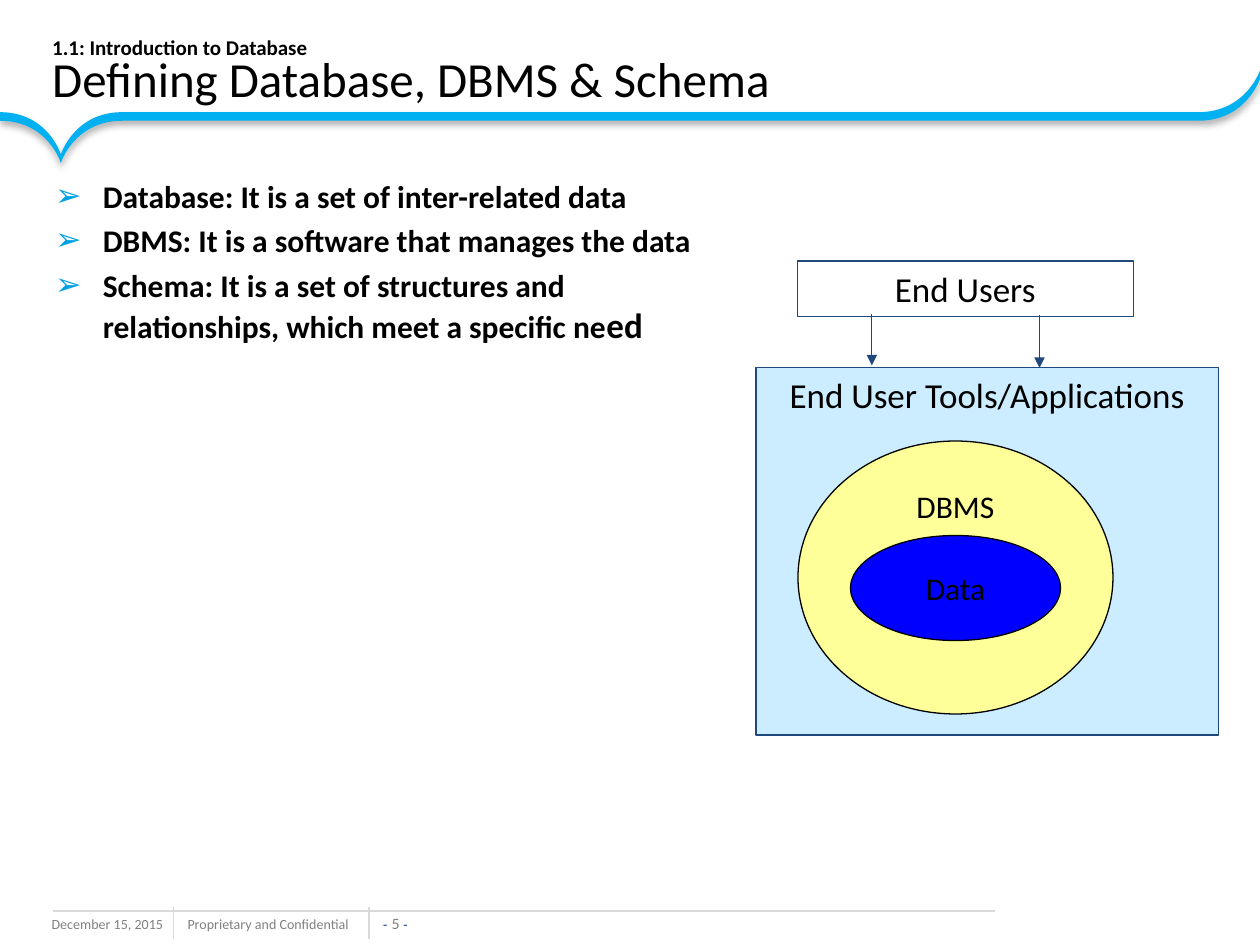
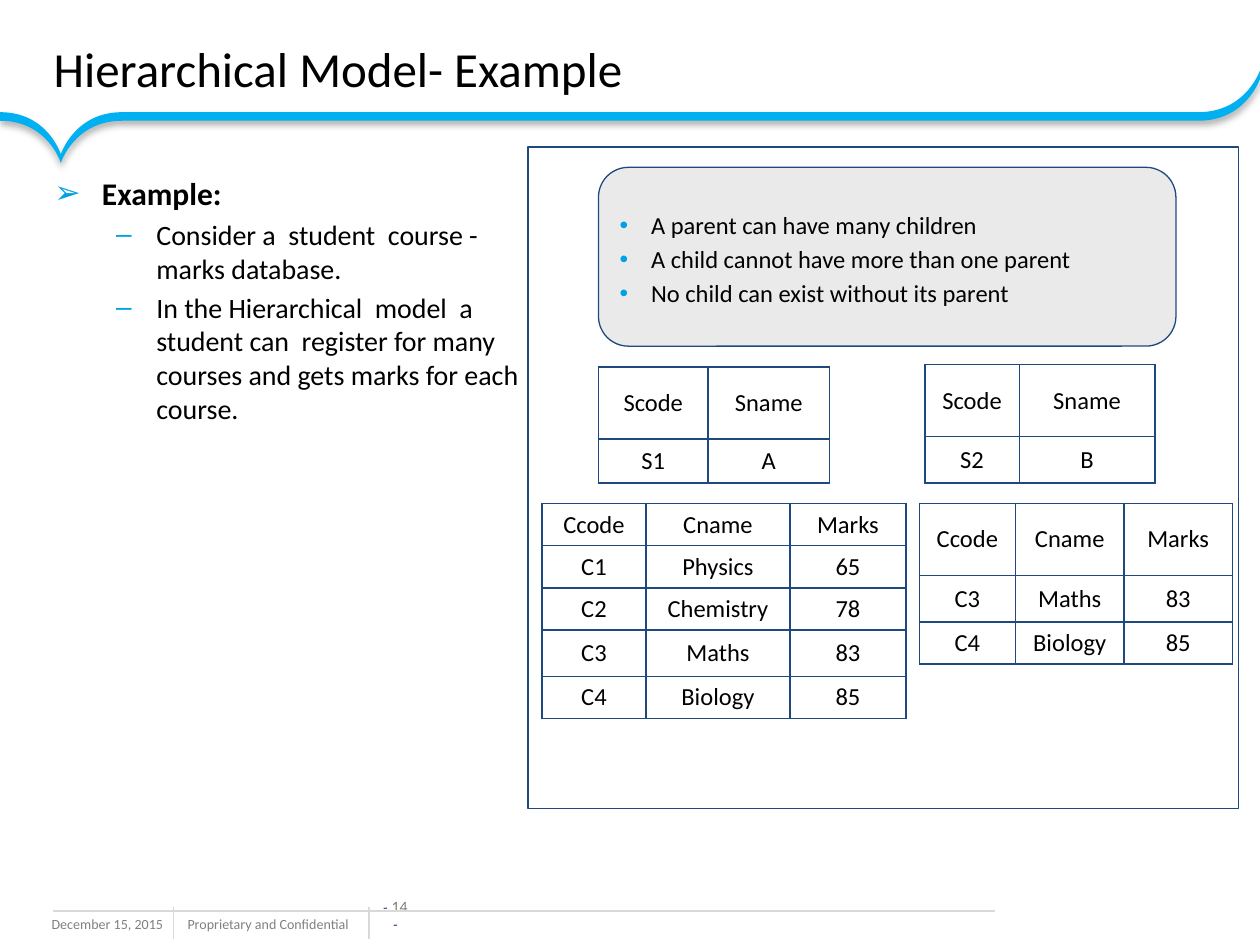
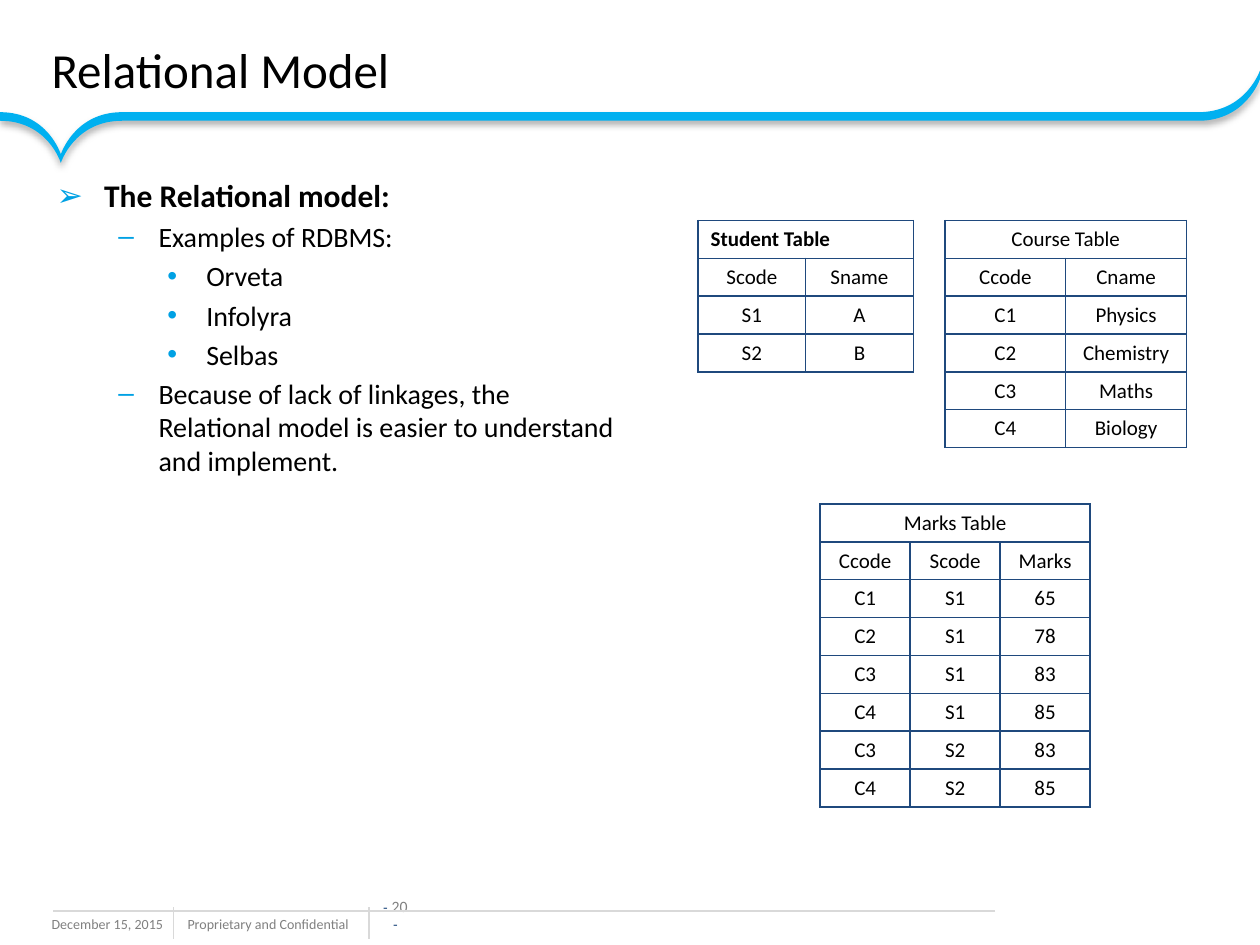
from pptx import Presentation
from pptx.dml.color import RGBColor
from pptx.enum.shapes import MSO_CONNECTOR, MSO_SHAPE
from pptx.enum.text import MSO_ANCHOR, PP_ALIGN
from pptx.oxml import parse_xml
from pptx.oxml.ns import nsdecls, qn
from pptx.util import Pt

STRAIGHT = MSO_CONNECTOR.STRAIGHT
RECTANGLE, ELLIPSE, ROUNDED = MSO_SHAPE.RECTANGLE, MSO_SHAPE.OVAL, MSO_SHAPE.ROUNDED_RECTANGLE
TOP, MIDDLE, BOTTOM = MSO_ANCHOR.TOP, MSO_ANCHOR.MIDDLE, MSO_ANCHOR.BOTTOM
LEFT, CENTER = PP_ALIGN.LEFT, PP_ALIGN.CENTER

BLACK, NAVY, GREY, RULE = "000000", "1F497D", "808080", "D9D9D9"
BAND, BULLET = "00B0F0", "00A1E4"
PALE_BLUE, YELLOW, BLUE, PALE_GREY = "CCECFF", "FFFF99", "0000FF", "EAEAEA"

# level: indent, hanging, size, bold, bullet
LEVELS = [
    (27.2, 27.2, 18, True, "\u27a2"),
    (58.3, 23, 16, False, "\u2013"),
    (85.6, 22.3, 16, False, "\u2022"),
]


def color(value):
    """Turn a hex string into a colour."""
    return RGBColor.from_string(value)


def element(xml):
    """Parse one drawing element, adding its namespace."""
    name, rest = xml.split(" ", 1)
    return parse_xml(f"{name} {nsdecls('a')} {rest}")


def style_run(span, size, bold=False, ink=BLACK, font="Calibri"):
    """Format one run."""
    span.font.size = Pt(size)
    span.font.bold = bold
    span.font.name = font
    span.font.color.rgb = color(ink)


def style_para(para, size, bold=False, ink=BLACK, align=LEFT):
    """Format a paragraph and all its runs."""
    para.alignment = align
    for span in para.runs:
        style_run(span, size, bold, ink)


def add_text(page, box, anchor=TOP):
    """Add a wrapping text box and return its frame."""
    frame = page.shapes.add_textbox(*map(Pt, box)).text_frame
    frame.word_wrap = True
    frame.vertical_anchor = anchor
    return frame


def add_line(page, start, end, ink, arrow=False):
    """Draw a straight line, optionally with an arrowhead at its end."""
    line = page.shapes.add_connector(STRAIGHT, *map(Pt, (*start, *end)))
    line.line.color.rgb = color(ink)
    line.line.width = Pt(0.75)
    if arrow:
        line.line._get_or_add_ln().append(element('<a:tailEnd type="triangle"/>'))
    line._element.spPr.append(element("<a:effectLst />"))


def add_box(page, kind, box, fill=None, ink=NAVY, text="", size=18, anchor=TOP):
    """Draw an outlined preset shape with centred text."""
    shape = page.shapes.add_shape(kind, *map(Pt, box))
    shape.shadow.inherit = False
    if fill:
        shape.fill.solid()
        shape.fill.fore_color.rgb = color(fill)
    else:
        shape.fill.background()
    shape.line.color.rgb = color(ink)
    shape.line.width = Pt(0.75)
    frame = shape.text_frame
    frame.vertical_anchor = anchor
    if text:
        frame.text = text
        style_para(frame.paragraphs[0], size, align=CENTER)
    return shape


def set_bullet(para, char, indent, hanging):
    """Give a paragraph a hanging coloured bullet."""
    props = para._p.get_or_add_pPr()
    props.set("marL", str(Pt(indent)))
    props.set("indent", str(-Pt(hanging)))
    props.append(element(f'<a:buClr ><a:srgbClr val="{BULLET}"/></a:buClr>'))
    props.append(element('<a:buFont typeface="Arial"/>'))
    props.append(element(f'<a:buChar char="{char}"/>'))


def add_bullets(page, box, items):
    """Write a multi-level bullet list from (level, text) pairs."""
    frame = add_text(page, box)
    for index, (level, text) in enumerate(items):
        para = frame.paragraphs[0] if index == 0 else frame.add_paragraph()
        para.text = text
        para.level = level
        indent, hanging, size, bold, char = LEVELS[level]
        style_para(para, size, bold)
        spacing = element('<a:spcBef ><a:spcPct val="20000"/></a:spcBef>')
        para._p.get_or_add_pPr().append(spacing)
        set_bullet(para, char, indent, hanging)
    return frame


def add_grid(page, origin, columns, heights, rows, size, caption="", caption_bold=False):
    """Draw a bordered table, with an optional caption row across the top."""
    if caption:
        rows = [[caption] + [""] * (len(columns) - 1)] + rows
    box = (*origin, sum(columns), sum(heights))
    table = page.shapes.add_table(len(rows), len(columns), *map(Pt, box)).table
    table.first_row = table.horz_banding = False
    for column, width in zip(table.columns, columns):
        column.width = Pt(width)
    for row, height, values in zip(table.rows, heights, rows):
        row.height = Pt(height)
        for cell, value in zip(row.cells, values):
            cell.text = value
            cell.vertical_anchor = MIDDLE
            style_para(cell.text_frame.paragraphs[0], size, align=CENTER)
            props = cell._tc.get_or_add_tcPr()
            for side in ("lnL", "lnR", "lnT", "lnB"):
                props.append(element(
                    f'<a:{side} w="{Pt(1)}"><a:solidFill><a:srgbClr val="{NAVY}"/>'
                    f'</a:solidFill></a:{side}>'))
            cell.fill.background()
    if caption:
        table.cell(0, 0).merge(table.cell(0, len(columns) - 1))
        if caption_bold:
            style_para(table.cell(0, 0).text_frame.paragraphs[0], size, True)


def round_segments(shape):
    """Turn each three line segments of a freeform into one cubic curve."""
    segments = list(shape._element.iter(qn("a:lnTo")))
    for first in range(0, len(segments), 3):
        cubic = element("<a:cubicBezTo />")
        segments[first].addprevious(cubic)
        for segment in segments[first:first + 3]:
            cubic.append(segment[0])
            segment.getparent().remove(segment)


def add_band(page, left, top, thickness=4.9):
    """Draw the shadowed header band with its dip and raised right end."""
    level, dip, bend, corner = 23.8, (34.8, 47.9), (69.8, 23.8), (684.9, 23.8)
    edge = [(0, level), (27.4, level), dip, dip,
            dip, (42.5, level), bend,
            corner, corner, corner,
            (712, level), (720, 0), (720, 0)]
    lower = [(x, y + thickness) for x, y in edge]
    outline = edge[::-1] + [lower[0]] * 3 + lower[1:] + [edge[-1]] * 3
    points = [(Pt(left + x), Pt(top + y)) for x, y in outline]
    builder = page.shapes.build_freeform(*points[0], scale=1.0)
    builder.add_line_segments(points[1:], close=True)
    band = builder.convert_to_shape()
    round_segments(band)
    band.fill.solid()
    band.fill.fore_color.rgb = color(BAND)
    band.line.fill.background()
    band.shadow.inherit = False
    band._element.spPr.find(qn("a:effectLst")).append(element(
        f'<a:outerShdw blurRad="{Pt(4)}" dist="{Pt(2)}" dir="5400000" algn="t" '
        'rotWithShape="0"><a:srgbClr val="000000"><a:alpha val="31000"/></a:srgbClr>'
        '</a:outerShdw>'))


def add_footer(page, left, top, number):
    """Write the date, the notice and the page number between thin rules."""
    for offset, width, text in ((-7.7, 96, "December 15, 2015"),
                                (70, 113, "Proprietary and Confidential")):
        frame = add_text(page, (left + offset, top + 1.4, width, 18))
        frame.text = text
        style_para(frame.paragraphs[0], 8, ink=GREY)
    frame = add_text(page, (left + 186.5, top + 3.6, 18.7, 10.8), BOTTOM)
    frame.margin_left = frame.margin_right = frame.margin_top = frame.margin_bottom = 0
    para = frame.paragraphs[0]
    para.alignment = CENTER
    for text, look in (("- ", (8, False, NAVY, "Arial")), (f"{number} ", (9, False, GREY)),
                       ("-", (8, False, NAVY, "Arial"))):
        span = para.add_run()
        span.text = text
        style_run(span, *look)
    for offset in (69, 180.8):
        add_line(page, (left + offset, top), (left + offset, top + 18), RULE)
    add_line(page, (left + 538.6, top + 2.2), (left, top + 2.2), RULE)


def add_page(deck, number, title, box, section=""):
    """Start a slide with the shared band, footer and title."""
    page = deck.slides.add_slide(deck.slide_layouts[6])
    add_band(page, 0, 40.3)
    add_footer(page, 30.1, 518.4, number)
    frame = add_text(page, box, MIDDLE)
    para = frame.paragraphs[0]
    para.text = f"{section}\v{title}" if section else title
    para.line_spacing = 0.8
    style_para(para, 28)
    if section:
        style_run(para.runs[0], 12, True)
        para._p.find(qn("a:br")).append(element('<a:rPr sz="1200"/>'))
    return page


def add_layers(page, left, top):
    """Draw users above the nested tools, DBMS and data shapes."""
    add_box(page, RECTANGLE, (left, top + 61, 264.2, 210), PALE_BLUE,
            text="End User Tools/Applications", size=20)
    add_box(page, ELLIPSE, (left + 24, top + 103, 180, 156), YELLOW, BLACK, "DBMS")
    add_box(page, ELLIPSE, (left + 54, top + 157, 120, 60), BLUE, BLACK, "Data", anchor=MIDDLE)
    for x, start, end in ((66.2, 30.3, 59.8), (162, 31, 61.2)):
        add_line(page, (left + x, top + start), (left + x, top + end), NAVY, True)
    add_box(page, RECTANGLE, (left + 23.6, top + 0.2, 192, 31.7), text="End Users", size=20)


def add_hierarchy(page, left, top):
    """Frame the parent rules with the student tables and their child tables."""
    rules = add_box(page, ROUNDED, (left + 40.3, top + 11.6, 330, 102.2), PALE_GREY,
                    anchor=MIDDLE)
    rules.adjustments[0] = 0.167
    rules.text_frame.text = ("A parent can have many children\n"
                             "A child cannot have more than one parent\n"
                             "No child can exist without its parent")
    for para in rules.text_frame.paragraphs:
        para.line_spacing = 1.15
        style_para(para, 14)
        set_bullet(para, "\u2022", 18, 18)
    student, course = ["Scode", "Sname"], ["Ccode", "Cname", "Marks"]
    shared = [["C3", "Maths", "83"], ["C4", "Biology", "85"]]
    first = [["C1", "Physics", "65"], ["C2", "Chemistry", "78"]]
    for x, y, columns, heights, rows in (
            (7.9, 203.8, (59.6, 82.2, 66.4), (24, 24, 24, 26.6, 24), [course] + first + shared),
            (223.6, 203.8, (55, 62, 62), (41, 26.6, 24), [course] + shared),
            (40.3, 125.8, (62.6, 69.4), (41, 25.2), [student, ["S1", "A"]]),
            (226.8, 124.4, (54, 77.4), (41, 26.6), [student, ["S2", "B"]])):
        add_grid(page, (left + x, top + y), columns, heights, rows, 14)
    add_box(page, RECTANGLE, (left, top, 406.2, 378), ink=NAVY)


def add_relations(page, left, top):
    """Place the student, course and marks tables."""
    students = [["Scode", "Sname"], ["S1", "A"], ["S2", "B"]]
    courses = [["Ccode", "Cname"], ["C1", "Physics"], ["C2", "Chemistry"],
               ["C3", "Maths"], ["C4", "Biology"]]
    marks = [["Ccode", "Scode", "Marks"], ["C1", "S1", "65"], ["C2", "S1", "78"],
             ["C3", "S1", "83"], ["C4", "S1", "85"], ["C3", "S2", "83"], ["C4", "S2", "85"]]
    for x, y, width, caption, bold, rows in (
            (69.8, 162, 51.4, "Marks Table", False, marks),
            (0, 0, 61.5, "Student Table", True, students),
            (141.1, 0, 69, "Course Table", False, courses)):
        add_grid(page, (left + x, top + y), [width] * len(rows[0]),
                 [21.6] * (len(rows) + 1), rows, 12, caption, bold)


def build_definitions(deck):
    """Build the slide that defines database, DBMS and schema."""
    page = add_page(deck, 5, "Defining Database, DBMS & Schema", (22.8, 13.7, 642, 56),
                    "1.1: Introduction to Database")
    frame = add_bullets(page, (24.5, 97.5, 396, 396), [
        (0, "Database: It is a set of inter-related data"),
        (0, "DBMS: It is a software that manages the data"),
        (0, "Schema: It is a set of structures and relationships, which meet a specific ne")])
    span = frame.paragraphs[-1].add_run()
    span.text = "ed"
    style_run(span, 20, True)
    add_layers(page, 432, 149)


def build_hierarchical(deck):
    """Build the hierarchical model example."""
    page = add_page(deck, 14, "Hierarchical Model- Example", (23.6, 13.7, 642, 56))
    add_bullets(page, (24, 96, 288, 396), [
        (0, "Example:"),
        (1, "Consider a  student  course - marks database."),
        (1, "In the Hierarchical  model  a student can  register for many courses "
            "and gets marks for each course.")])
    add_hierarchy(page, 301.7, 84)


def build_relational(deck):
    """Build the relational model slide."""
    page = add_page(deck, 20, "Relational Model", (22.4, 14.4, 642, 56))
    add_bullets(page, (25.2, 97.2, 334.8, 396), [
        (0, "The Relational model:"),
        (1, "Examples of RDBMS:"),
        (2, "Orveta"),
        (2, "Infolyra"),
        (2, "Selbas"),
        (1, "Because of lack of linkages, the Relational model is easier to understand "
            "and implement.")])
    add_relations(page, 398.9, 126)


def main():
    """Build and save the deck."""
    deck = Presentation()
    deck.slide_width, deck.slide_height = Pt(720), Pt(540)
    build_definitions(deck)
    build_hierarchical(deck)
    build_relational(deck)
    deck.save("out.pptx")


main()
